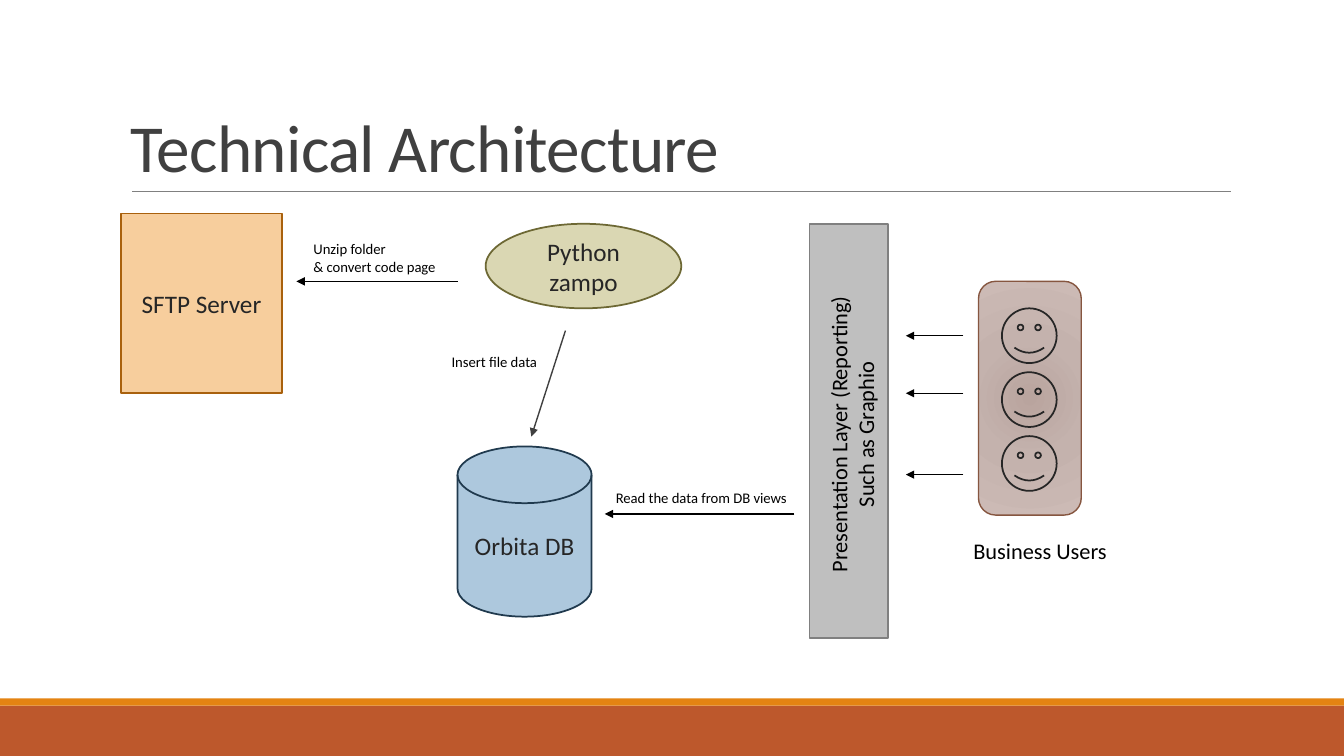
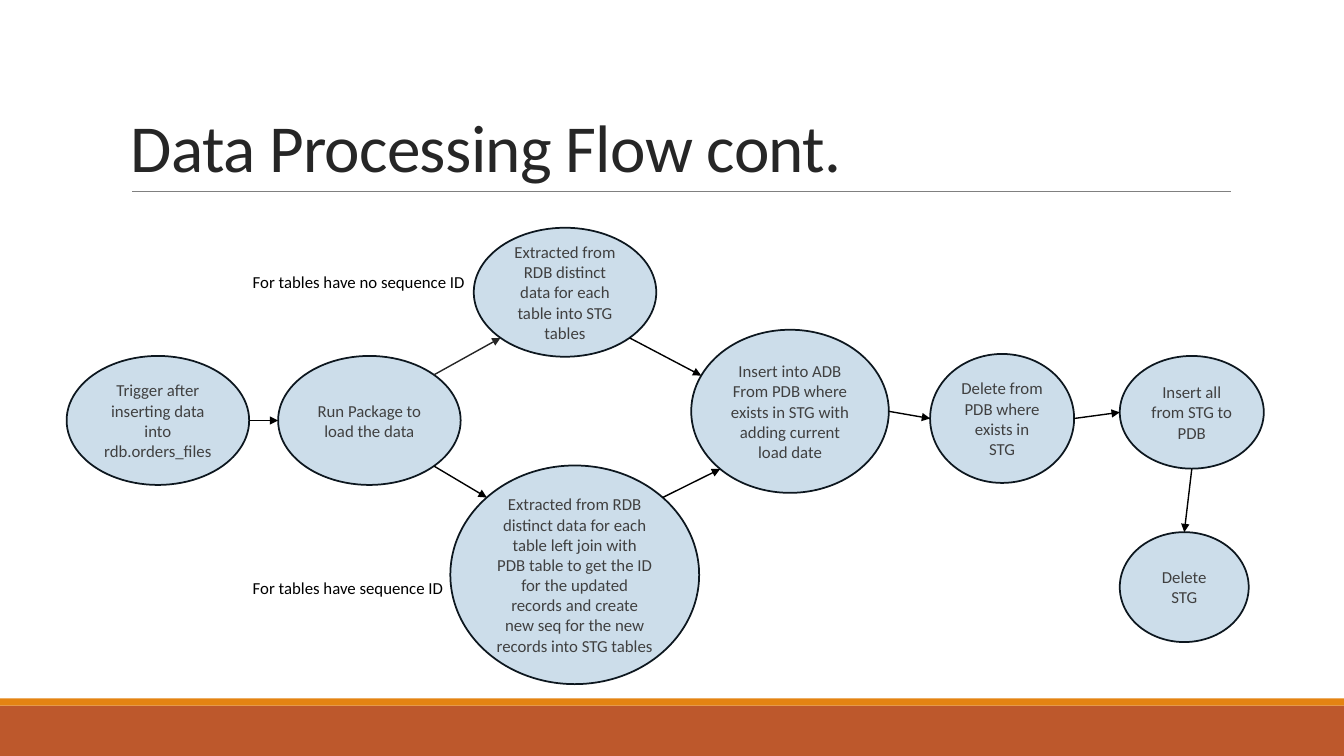
"""Builds two slides: a technical architecture and a data processing flow."""
from dataclasses import dataclass
from math import cos, radians, sin

from lxml import etree
from pptx import Presentation, util as u
from pptx.dml import color as dml
from pptx.enum import shapes, text
from pptx.oxml import ns

Kind = shapes.MSO_SHAPE
Anchor = text.MSO_ANCHOR
Align = text.PP_ALIGN
Point = tuple[float, float]


@dataclass(frozen=True)
class Theme:
    """Colours, font and type sizes of the deck."""
    font: str = "Calibri"
    rust: str = "BD582C"
    orange: str = "E48312"
    grey: str = "808080"
    silver: str = "BFBFBF"
    black: str = "000000"
    ink: str = "262626"
    soft_ink: str = "404040"
    peach: str = "F7CE9D"
    peach_edge: str = "A9610D"
    olive: str = "DAD7B3"
    olive_edge: str = "6D6834"
    blue: str = "ADC8DD"
    blue_edge: str = "203A4E"
    step: str = "CCDDEA"
    step_edge: str = "0D171F"
    users_edge: str = "865640"
    users_glow: tuple = ((0, "B9A49E"), (45, "C4B2AD"), (100, "CCBAB5"))
    title_size: float = 48
    node_size: float = 18
    layer_size: float = 16
    step_size: float = 12
    note_size: float = 10.5
    edge: float = 1.25
    thin: float = 1
    hairline: float = 0.5


THEME = Theme()


@dataclass(frozen=True)
class Node:
    """A preset shape, placed in centimetres, with optional centred text."""
    left: float
    top: float
    width: float
    height: float
    words: str = ""
    kind: Kind = Kind.OVAL
    fill: str | None = THEME.step
    line: str | None = THEME.step_edge
    weight: float = THEME.edge
    size: float = THEME.step_size
    color: str = THEME.soft_ink

    def at_angle(self, degrees: float) -> Point:
        """Return the point of the inscribed ellipse, clockwise from the right."""
        angle = radians(degrees)
        return (self.left + self.width / 2 * (1 + cos(angle)),
                self.top + self.height / 2 * (1 + sin(angle)))


@dataclass(frozen=True)
class Label:
    """An unwrapped text box, placed in centimetres."""
    left: float
    top: float
    width: float
    height: float
    words: str
    size: float = THEME.note_size
    align: Align = Align.LEFT
    rotation: float = 0


@dataclass(frozen=True)
class Arrow:
    """A straight arrow between two points in centimetres."""
    start: Point
    end: Point
    color: str = THEME.black


@dataclass(frozen=True)
class Link:
    """An arrow from one step's rim to another's, by name and angle."""
    source: str
    leave: float
    target: str
    arrive: float
    color: str = THEME.black


def rgb(value: str) -> dml.RGBColor:
    """Turn a hex string into a colour."""
    return dml.RGBColor.from_string(value)


def write(frame, words: str, *, size: float, color: str, align=Align.LEFT,
          anchor=Anchor.TOP, wrap: bool = True, leading: float | None = None,
          tracking: int | None = None) -> None:
    """Fill a text frame, one paragraph for each line of words."""
    frame.word_wrap = wrap
    frame.vertical_anchor = anchor
    for index, line in enumerate(words.split("\n")):
        para = frame.add_paragraph() if index else frame.paragraphs[0]
        para.alignment = align
        if leading:
            para.line_spacing = leading
        span = para.add_run()
        span.text = line
        span.font.name = THEME.font
        span.font.size = u.Pt(size)
        span.font.color.rgb = rgb(color)
        if tracking:
            span.font._element.set("spc", str(tracking))


def draw_node(page, node: Node):
    """Draw one shape with its text and return it."""
    box = page.shapes.add_shape(node.kind, u.Cm(node.left), u.Cm(node.top),
                                u.Cm(node.width), u.Cm(node.height))
    box.shadow.inherit = False
    if node.fill:
        box.fill.solid()
        box.fill.fore_color.rgb = rgb(node.fill)
    else:
        box.fill.background()
    if node.line:
        box.line.color.rgb = rgb(node.line)
        box.line.width = u.Pt(node.weight)
    else:
        box.line.fill.background()
    if node.words:
        write(box.text_frame, node.words, size=node.size, color=node.color,
              align=Align.CENTER, anchor=Anchor.MIDDLE)
    return box


def draw_label(page, label: Label) -> None:
    """Draw one unwrapped label."""
    box = page.shapes.add_textbox(u.Cm(label.left), u.Cm(label.top),
                                  u.Cm(label.width), u.Cm(label.height))
    box.rotation = label.rotation
    box.text_frame.auto_size = text.MSO_AUTO_SIZE.SHAPE_TO_FIT_TEXT
    write(box.text_frame, label.words, size=label.size, color=THEME.black,
          align=label.align, wrap=False)


def draw_line(page, start: Point, end: Point, color: str, weight: float,
              arrow: bool = False) -> None:
    """Draw a straight line, with a triangle at its end if asked."""
    line = page.shapes.add_connector(shapes.MSO_CONNECTOR.STRAIGHT,
                                     *(u.Cm(value) for value in start + end))
    line.line.color.rgb = rgb(color)
    line.line.width = u.Pt(weight)
    properties = line._element.spPr
    if arrow:
        stroke = properties.find(ns.qn("a:ln"))
        etree.SubElement(stroke, ns.qn("a:tailEnd"), type="triangle")
    etree.SubElement(properties, ns.qn("a:effectLst"))


def draw_arrow(page, arrow: Arrow) -> None:
    """Draw one arrow."""
    draw_line(page, arrow.start, arrow.end, arrow.color, THEME.thin, arrow=True)


def glow(box, stops: tuple) -> None:
    """Give a shape a radial gradient of (percent, colour) stops."""
    box.fill.gradient()
    gradient = box._element.spPr.find(ns.qn("a:gradFill"))
    for child in list(gradient):
        gradient.remove(child)
    listing = etree.SubElement(gradient, ns.qn("a:gsLst"))
    for percent, color in stops:
        stop = etree.SubElement(listing, ns.qn("a:gs"), pos=str(percent * 1000))
        etree.SubElement(stop, ns.qn("a:srgbClr"), val=color)
    circle = etree.SubElement(gradient, ns.qn("a:path"))
    circle.set("path", "circle")
    etree.SubElement(circle, ns.qn("a:fillToRect"),
                     {side: "100000" for side in "ltrb"})


BANDS = (
    Node(0, 17.78, 33.87, 1.27, kind=Kind.RECTANGLE, fill=THEME.rust, line=None),
    Node(0, 17.6, 33.87, 0.18, kind=Kind.RECTANGLE, fill=THEME.orange, line=None),
)


def add_page(deck, title: str, color: str):
    """Add a page with the shared bands, rule and title."""
    page = deck.slides.add_slide(deck.slide_layouts[6])
    for band in BANDS:
        draw_node(page, band)
    draw_line(page, (3.33, 4.83), (31.01, 4.83), THEME.grey, THEME.hairline)
    box = page.shapes.add_textbox(u.Cm(3.05), u.Cm(0.79), u.Cm(27.94), u.Cm(4.04))
    write(box.text_frame, title, size=THEME.title_size, color=color,
          anchor=Anchor.BOTTOM, leading=0.85, tracking=-50)
    return page


SYSTEMS = (
    Node(3.05, 5.38, 4.06, 4.52, "SFTP Server", Kind.RECTANGLE, THEME.peach,
         THEME.peach_edge, size=THEME.node_size, color=THEME.ink),
    Node(12.24, 5.64, 4.93, 2.13, "Python\nzampo", Kind.OVAL, THEME.olive,
         THEME.olive_edge, size=THEME.node_size, color=THEME.ink),
    Node(11.53, 11.25, 3.38, 4.29, "Orbita DB", Kind.FLOWCHART_MAGNETIC_DISK,
         THEME.blue, THEME.blue_edge, size=THEME.node_size, color=THEME.ink),
    Node(20.4, 5.64, 1.98, 10.44, kind=Kind.RECTANGLE, fill=THEME.silver,
         line=THEME.grey),
)
USERS = Node(24.66, 7.09, 2.59, 5.89, kind=Kind.ROUNDED_RECTANGLE, fill=None,
             line=THEME.users_edge, weight=THEME.thin)
FACES = [Node(25.25, 7.77 + 1.61 * row, 1.38, 1.38, kind=Kind.SMILEY_FACE,
              fill=None, line=THEME.ink) for row in range(3)]
SYSTEM_ARROWS = (
    *(Arrow((24.28, y), (22.83, y)) for y in (8.46, 9.91, 11.96)),
    Arrow((20.02, 12.95), (15.24, 12.95)),
    Arrow((14.25, 8.33), (13.39, 11), THEME.soft_ink),
    Arrow((11.53, 7.09), (7.47, 7.09)),
)
SYSTEM_LABELS = (
    Label(17.63, 10.13, 7.7, 1.63, "Presentation Layer (Reporting)\nSuch as Graphio",
          THEME.layer_size, Align.CENTER, 270),
    Label(24.28, 13.41, 3.91, 0.94, "Business Users", THEME.layer_size),
    Label(7.65, 5.92, 3.66, 1.14, "Unzip folder\n& convert code page"),
    Label(11.13, 8.76, 2.72, 0.71, "Insert file data"),
    Label(15.27, 12.19, 4.93, 0.71, "Read the data from DB views"),
)

STEPS = {
    "trigger": Node(1.68, 8.97, 4.6, 3.25,
                    "Trigger after inserting data into rdb.orders_files"),
    "run": Node(7.01, 8.97, 4.6, 3.25, "Run Package to load the data"),
    "distinct": Node(11.94, 5.74, 4.6, 3.25, "Extracted from RDB distinct data "
                     "for each table into STG tables"),
    "history": Node(17.42, 8.31, 4.98, 4.11, "Insert into ADB\nFrom PDB where "
                    "exists in STG with adding current load date"),
    "delete": Node(23.44, 8.92, 3.63, 3.25, "Delete from PDB where exists in STG"),
    "insert": Node(28.22, 8.97, 3.63, 2.84, "Insert all from STG to PDB"),
    "clear": Node(28.22, 13.41, 3.25, 2.77, "Delete STG"),
    "joined": Node(11.35, 11.73, 6.27, 5.51, "Extracted from RDB distinct data for "
                   "each table left join with PDB table to get the ID for the updated "
                   "records and create new seq for the new records into STG tables"),
}
LINKS = (
    Link("trigger", 0, "run", 180),
    Link("run", 315, "distinct", 135, THEME.ink),
    Link("run", 45, "joined", 225),
    Link("distinct", 45, "history", 206),
    Link("joined", 315, "history", 135),
    Link("history", 0, "delete", 180),
    Link("delete", 0, "insert", 180),
    Link("insert", 90, "clear", 270),
)
STEP_LABELS = (
    Label(6.12, 6.73, 5.92, 0.76, "For tables have no sequence ID", THEME.step_size),
    Label(6.12, 14.43, 5.46, 0.76, "For tables have sequence ID", THEME.step_size),
)


def add_architecture(deck) -> None:
    """Add the page of systems and their users."""
    page = add_page(deck, "Technical Architecture", THEME.soft_ink)
    for system in SYSTEMS:
        draw_node(page, system)
    glow(draw_node(page, USERS), THEME.users_glow)
    for face in FACES:
        draw_node(page, face)
    for arrow in SYSTEM_ARROWS:
        draw_arrow(page, arrow)
    for label in SYSTEM_LABELS:
        draw_label(page, label)


def add_flow(deck) -> None:
    """Add the page of processing steps."""
    page = add_page(deck, "Data Processing Flow cont.", THEME.ink)
    for step in STEPS.values():
        draw_node(page, step)
    for link in LINKS:
        draw_arrow(page, Arrow(STEPS[link.source].at_angle(link.leave),
                               STEPS[link.target].at_angle(link.arrive), link.color))
    for label in STEP_LABELS:
        draw_label(page, label)


deck = Presentation()
deck.slide_width, deck.slide_height = u.Cm(33.87), u.Cm(19.05)
add_architecture(deck)
add_flow(deck)
deck.save("out.pptx")
